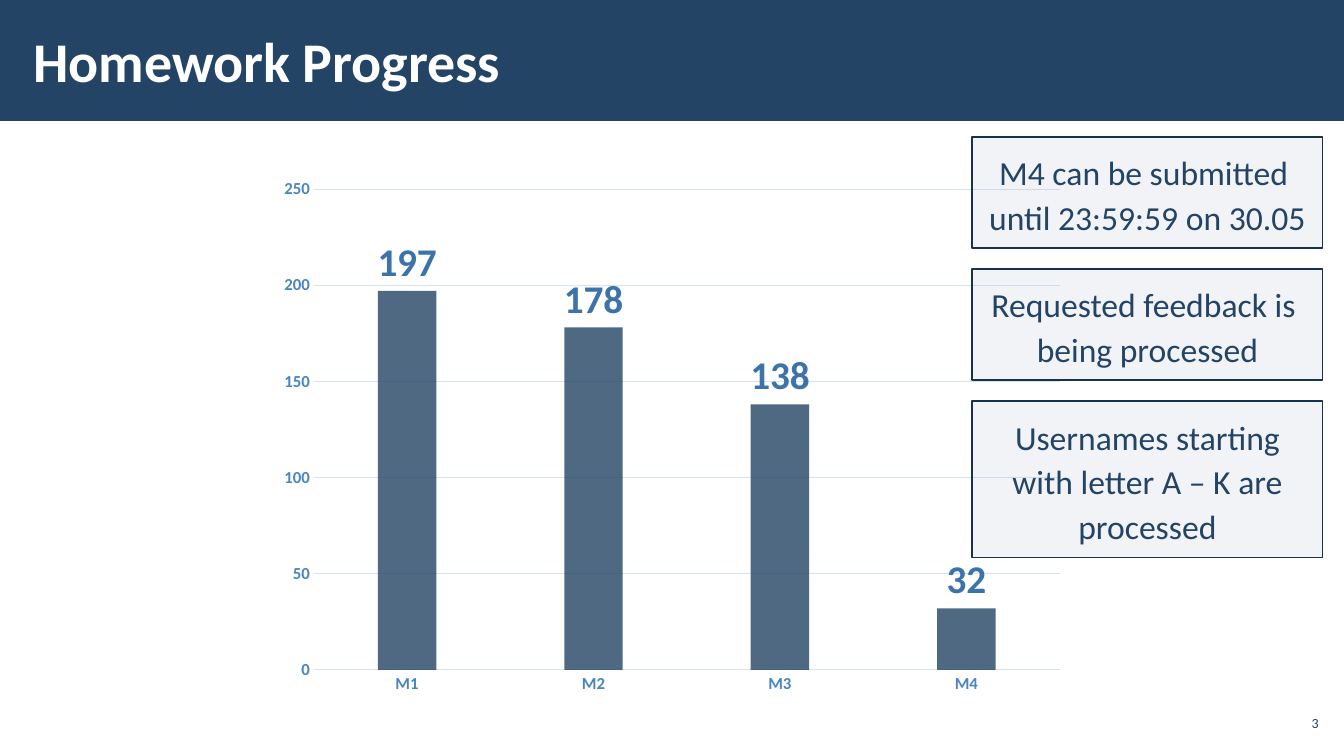
from dataclasses import dataclass

from lxml.etree import SubElement
from pptx import Presentation
from pptx.chart.data import CategoryChartData
from pptx.dml.color import RGBColor
from pptx.enum.chart import XL_CHART_TYPE, XL_LABEL_POSITION, XL_TICK_MARK
from pptx.enum.shapes import MSO_SHAPE
from pptx.enum.text import MSO_ANCHOR, MSO_AUTO_SIZE, PP_ALIGN
from pptx.oxml.ns import qn
from pptx.util import Inches, Pt

FONT = "Calibri"
COLORS = {
    "navy": "234465",
    "white": "FFFFFF",
    "note": "ADB4C3",
    "outline": "1A334C",
    "axis": "4A85C0",
    "grid": "D5E3F1",
    "label": "3B73AA",
}
SUBMISSIONS = {"M1": 197, "M2": 178, "M3": 138, "M4": 32}
NOTE_LEFT, NOTE_TOP, NOTE_WIDTH, NOTE_GAP = 9.64, 1.36, 3.48, 0.21


@dataclass
class Note:
    lines: list[str]
    height: float
    wrap: bool = True


NOTES = [
    Note(["M4 can be submitted ", "until 23:59:59 on 30.05"], 1.1, wrap=False),
    Note(["Requested feedback is ", "being processed"], 1.1),
    Note(["Usernames starting with letter A – K are processed"], 1.55),
]


def color(name: str) -> RGBColor:
    return RGBColor.from_string(COLORS[name])


def format_font(font, size: float, color_name: str, bold: bool = False) -> None:
    font.name = FONT
    font.size = Pt(size)
    font.bold = bold
    font.color.rgb = color(color_name)


def write_text(shape, lines: list[str], *, size: float, color_name: str = "navy",
               bold: bool = False, align=PP_ALIGN.LEFT, spacing: float = 1.0,
               margins: tuple[float, float] = (0.04, 0.04), wrap: bool = True,
               auto_size=MSO_AUTO_SIZE.NONE) -> None:
    frame = shape.text_frame
    frame.word_wrap = wrap
    frame.auto_size = auto_size
    frame.vertical_anchor = MSO_ANCHOR.MIDDLE
    frame.margin_left = frame.margin_right = Inches(margins[0])
    frame.margin_top = frame.margin_bottom = Inches(margins[1])
    frame.text = "\n".join(lines)
    for paragraph in frame.paragraphs:
        paragraph.alignment = align
        paragraph.line_spacing = spacing
        format_font(paragraph.runs[0].font, size, color_name, bold)


def set_opacity(element, color_path: str, percent: int) -> None:
    for color_element in element.xpath(color_path):
        SubElement(color_element, qn("a:alpha")).set("val", str(percent * 1000))


def add_rectangle(slide, left: float, top: float, width: float, height: float, fill: str):
    shape = slide.shapes.add_shape(
        MSO_SHAPE.RECTANGLE, Inches(left), Inches(top), Inches(width), Inches(height))
    shape.shadow.inherit = False
    shape.fill.solid()
    shape.fill.fore_color.rgb = color(fill)
    shape.line.fill.background()
    return shape


def add_header(slide) -> None:
    title = slide.shapes.title
    title.left, title.top = Inches(0.21), Inches(0.11)
    title.width, title.height = Inches(10.63), Inches(0.97)
    write_text(title, ["Homework Progress"], size=40, color_name="white", bold=True,
               margins=(0.12, 0.04))
    band = add_rectangle(slide, 0, 0, 13.33, 1.2, "navy")
    title.element.addprevious(band.element)


def add_page_number(slide) -> None:
    box = slide.shapes.add_textbox(Inches(12.65), Inches(7), Inches(0.47), Inches(0.34))
    write_text(box, ["3"], size=10, align=PP_ALIGN.RIGHT)


def add_progress_chart(slide) -> None:
    data = CategoryChartData()
    data.categories = list(SUBMISSIONS)
    data.add_series("Series 1", list(SUBMISSIONS.values()))
    chart = slide.shapes.add_chart(
        XL_CHART_TYPE.COLUMN_CLUSTERED, Inches(2.66), Inches(1.67),
        Inches(8.01), Inches(5.32), data).chart
    chart.has_legend = False
    chart.has_title = False
    format_font(chart.font, 10, "navy")

    for axis in (chart.category_axis, chart.value_axis):
        axis.major_tick_mark = axis.minor_tick_mark = XL_TICK_MARK.NONE
        format_font(axis.tick_labels.font, 12, "axis", bold=True)
    gridlines = chart.value_axis.major_gridlines
    for line in (chart.category_axis.format.line, gridlines.format.line):
        line.color.rgb = color("grid")
        line.width = Pt(0.75)
    chart.value_axis.format.line.fill.background()

    plot = chart.plots[0]
    plot.gap_width = 219
    plot.overlap = -27
    plot.vary_by_categories = False
    fill = plot.series[0].format.fill
    fill.solid()
    fill.fore_color.rgb = color("navy")
    set_opacity(chart.element, ".//c:ser/c:spPr/a:solidFill/a:srgbClr", 80)
    labels = plot.series[0].data_labels
    labels.show_value = True
    labels.position = XL_LABEL_POSITION.OUTSIDE_END
    format_font(labels.font, 28, "label", bold=True)


def add_notes(slide, notes: list[Note]) -> None:
    top = NOTE_TOP
    for note in notes:
        box = add_rectangle(slide, NOTE_LEFT, top, NOTE_WIDTH, note.height, "note")
        set_opacity(box.element, "./p:spPr/a:solidFill/a:srgbClr", 15)
        box.line.color.rgb = color("outline")
        box.line.width = Pt(1)
        write_text(box, note.lines, size=24, align=PP_ALIGN.CENTER, spacing=1.1,
                   margins=(0.16, 0.12), wrap=note.wrap,
                   auto_size=MSO_AUTO_SIZE.SHAPE_TO_FIT_TEXT)
        top += note.height + NOTE_GAP


def main() -> None:
    presentation = Presentation()
    presentation.slide_width = Inches(13.33)
    presentation.slide_height = Inches(7.5)
    slide = presentation.slides.add_slide(presentation.slide_layouts.get_by_name("Title Only"))
    add_header(slide)
    add_page_number(slide)
    add_progress_chart(slide)
    add_notes(slide, NOTES)
    presentation.save("out.pptx")


if __name__ == "__main__":
    main()
